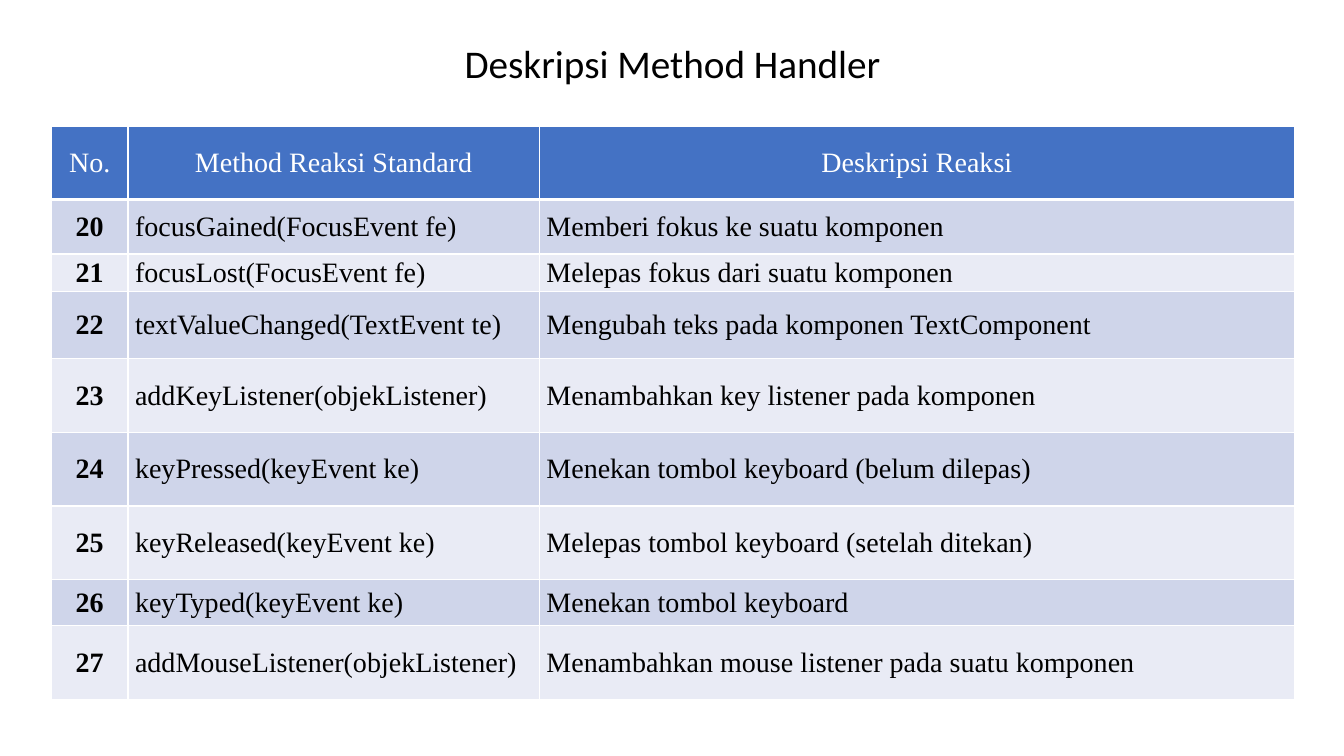
from dataclasses import dataclass

from lxml.etree import SubElement
from pptx import Presentation
from pptx.dml.color import RGBColor as RGB
from pptx.enum.text import MSO_ANCHOR as ANCHOR, PP_ALIGN as ALIGN
from pptx.oxml.ns import qn
from pptx.util import Pt

PX = 9144


@dataclass(frozen=True)
class Theme:
    title_font: str = "Calibri"
    table_font: str = "Times New Roman"
    title_size: int = 28
    table_size: int = 20
    text: str = "000000"
    header_text: str = "FFFFFF"
    header_fill: str = "4472C4"
    bands: tuple = ("CFD5EA", "E9EBF5")
    border: str = "FFFFFF"
    border_width: int = 1
    header_rule: int = 3


THEME = Theme()
TITLE = "Deskripsi Method Handler"
HEADER = ("No.", "Method Reaksi Standard", "Deskripsi Reaksi")
FIRST_NUMBER = 20
METHODS = [
    ("focusGained(FocusEvent fe)", "Memberi fokus ke suatu komponen"),
    ("focusLost(FocusEvent fe)", "Melepas fokus dari suatu komponen"),
    ("textValueChanged(TextEvent te)", "Mengubah teks pada komponen TextComponent"),
    ("addKeyListener(objekListener)", "Menambahkan key listener pada komponen"),
    ("keyPressed(keyEvent ke)", "Menekan tombol keyboard (belum dilepas)"),
    ("keyReleased(keyEvent ke)", "Melepas tombol keyboard (setelah ditekan)"),
    ("keyTyped(keyEvent ke)", "Menekan tombol keyboard"),
    ("addMouseListener(objekListener)", "Menambahkan mouse listener pada suatu komponen"),
]
COL_WIDTHS = (76, 408, 749)
ROW_HEIGHTS = (73, 54, 37, 67, 73, 73, 73, 46, 73)


def px(n):
    return n * PX


def add_run(p, text, font, size, color, bold=False):
    r = p.add_run()
    r.text = text
    r.font.name = font
    r.font.size = Pt(size)
    r.font.bold = bold
    r.font.color.rgb = RGB.from_string(color)


def set_borders(cell, bottom):
    tcPr = cell._tc.get_or_add_tcPr()
    width = THEME.border_width
    for side, pts in (("L", width), ("R", width), ("T", width), ("B", bottom)):
        ln = SubElement(tcPr, qn(f"a:ln{side}"), w=str(Pt(pts)))
        fill = SubElement(ln, qn("a:solidFill"))
        SubElement(fill, qn("a:srgbClr"), val=THEME.border)


def fill_cell(cell, text, row, col):
    is_header = row == 0
    set_borders(cell, THEME.header_rule if is_header else THEME.border_width)
    cell.fill.solid()
    fill = THEME.header_fill if is_header else THEME.bands[(row - 1) % 2]
    cell.fill.fore_color.rgb = RGB.from_string(fill)
    cell.margin_left = cell.margin_right = px(7)
    cell.margin_top = cell.margin_bottom = 0
    cell.vertical_anchor = ANCHOR.MIDDLE
    p = cell.text_frame.paragraphs[0]
    p.alignment = ALIGN.CENTER if is_header or col == 0 else ALIGN.LEFT
    color = THEME.header_text if is_header else THEME.text
    add_run(p, text, THEME.table_font, THEME.table_size, color,
            bold=col == 0 and not is_header)


def place_title(s, x, y, w, h):
    sp = s.shapes.title
    sp.left, sp.top, sp.width, sp.height = map(px, (x, y, w, h))
    tf = sp.text_frame
    tf.word_wrap = True
    tf.vertical_anchor = ANCHOR.MIDDLE
    p = tf.paragraphs[0]
    p.alignment = ALIGN.CENTER
    p.line_spacing = 0.9
    add_run(p, TITLE, THEME.title_font, THEME.title_size, THEME.text)


def place_method_table(s, x, y, w, h):
    rows = [HEADER] + [(str(n), *m) for n, m in enumerate(METHODS, FIRST_NUMBER)]
    table = s.shapes.add_table(len(rows), len(HEADER), *map(px, (x, y, w, h))).table
    for column, width in zip(table.columns, COL_WIDTHS):
        column.width = px(width)
    for row, height in zip(table.rows, ROW_HEIGHTS):
        row.height = px(height)
    for i, texts in enumerate(rows):
        for j, text in enumerate(texts):
            fill_cell(table.cell(i, j), text, i, j)


def main():
    prs = Presentation()
    prs.slide_width, prs.slide_height = px(1333), px(750)
    s = prs.slides.add_slide(prs.slide_layouts[5])
    place_title(s, 217, 30, 900, 70)
    place_method_table(s, 51, 125, sum(COL_WIDTHS), sum(ROW_HEIGHTS))
    prs.save("out.pptx")


if __name__ == "__main__":
    main()
